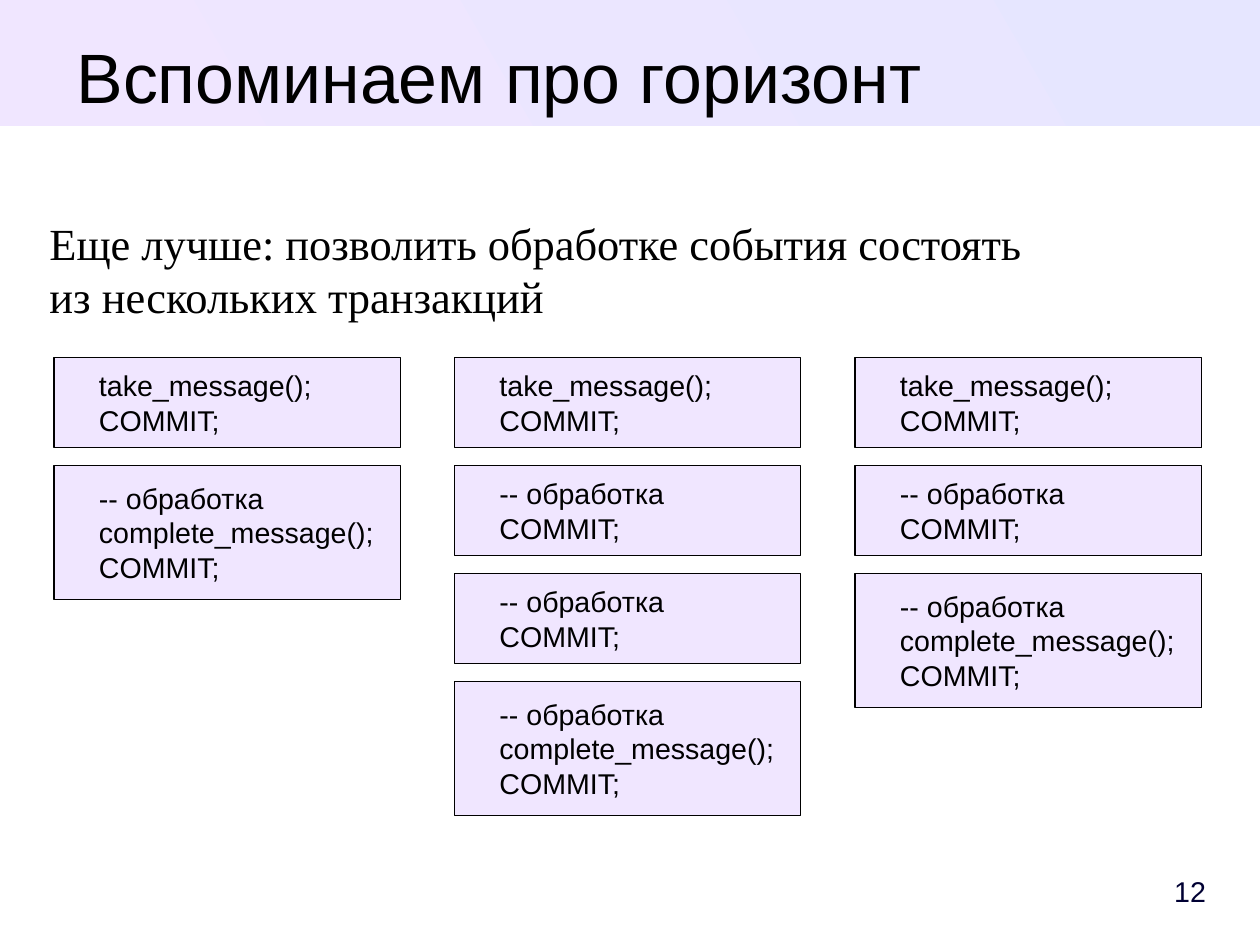
from pptx import Presentation
from pptx.dml.color import RGBColor
from pptx.enum.shapes import MSO_SHAPE
from pptx.enum.text import MSO_ANCHOR, PP_ALIGN
from pptx.util import Cm, Pt

BLACK = RGBColor(0x00, 0x00, 0x00)
NAVY = RGBColor(0x00, 0x00, 0x33)
LILAC = RGBColor(0xF0, 0xE6, 0xFF)
BLUE = RGBColor(0xE6, 0xE6, 0xFF)

# Transaction steps and the flows made of them
TAKE = "take_message();\nCOMMIT;"
WORK = "-- обработка\nCOMMIT;"
DONE = "-- обработка\ncomplete_message();\nCOMMIT;"
FLOWS = [[TAKE, DONE], [TAKE, WORK, WORK, DONE], [TAKE, WORK, DONE]]
HEIGHTS = {TAKE: 2, WORK: 2, DONE: 2.97}
LEFT, TOP, WIDTH, STEP, GAP = 1.2, 7.95, 7.7, 8.9, 0.4


def write(frame, lines, size=18, font="Arial", color=BLACK,
          align=PP_ALIGN.LEFT, anchor=MSO_ANCHOR.TOP,
          inset=(0, 0, 0, 0), wrap=True):
    frame.word_wrap = wrap
    frame.vertical_anchor = anchor
    frame.margin_left, frame.margin_top = Cm(inset[0]), Cm(inset[1])
    frame.margin_right, frame.margin_bottom = Cm(inset[2]), Cm(inset[3])
    frame.text = lines
    for para in frame.paragraphs:
        para.alignment = align
        for run in para.runs:
            run.font.size = Pt(size)
            run.font.name = font
            run.font.color.rgb = color


class Deck:
    def __init__(self, width, height):
        self.show = Presentation()
        self.show.slide_width, self.show.slide_height = Cm(width), Cm(height)
        self.slide = self.show.slides.add_slide(self.show.slide_layouts[6])

    def rect(self, *place):
        shape = self.slide.shapes.add_shape(
            MSO_SHAPE.RECTANGLE, *[Cm(v) for v in place])
        shape.shadow.inherit = False
        return shape

    def band(self, *place):
        shape = self.rect(*place)
        shape.line.fill.background()
        shape.fill.gradient()
        shape.fill.gradient_angle = 210
        for stop, color in zip(shape.fill.gradient_stops, (BLUE, LILAC)):
            stop.color.rgb = color

    def label(self, lines, *place, **style):
        box = self.slide.shapes.add_textbox(*[Cm(v) for v in place])
        write(box.text_frame, lines, **style)

    def block(self, lines, *place):
        shape = self.rect(*place)
        shape.fill.solid()
        shape.fill.fore_color.rgb = LILAC
        shape.line.color.rgb = BLACK
        shape.line.width = Pt(0)
        write(shape.text_frame, lines, anchor=MSO_ANCHOR.MIDDLE,
              inset=(1, 0.13, 0.25, 0.13), wrap=False)


def main():
    deck = Deck(28, 21)

    # Header, page number and lead text
    deck.band(0, 0, 28, 2.8)
    deck.label("12", 24.6, 19.2, 2.2, 1.2, color=NAVY, align=PP_ALIGN.RIGHT,
               anchor=MSO_ANCHOR.MIDDLE, inset=(0.25, 0.13, 0, 0.13))
    deck.label("Вспоминаем про горизонт", 1.2, 0.74, 19.8, 1.76,
               size=44, align=PP_ALIGN.CENTER)
    deck.label("Еще лучше: позволить обработке события состоять\v"
               "из нескольких транзакций", 1.1, 4.8, 25.6, 14.5,
               size=28, font="Times New Roman")

    # One column of blocks per flow
    for col, flow in enumerate(FLOWS):
        top = TOP
        for step in flow:
            deck.block(step, LEFT + col * STEP, top, WIDTH, HEIGHTS[step])
            top += HEIGHTS[step] + GAP

    deck.show.save("out.pptx")


if __name__ == "__main__":
    main()
